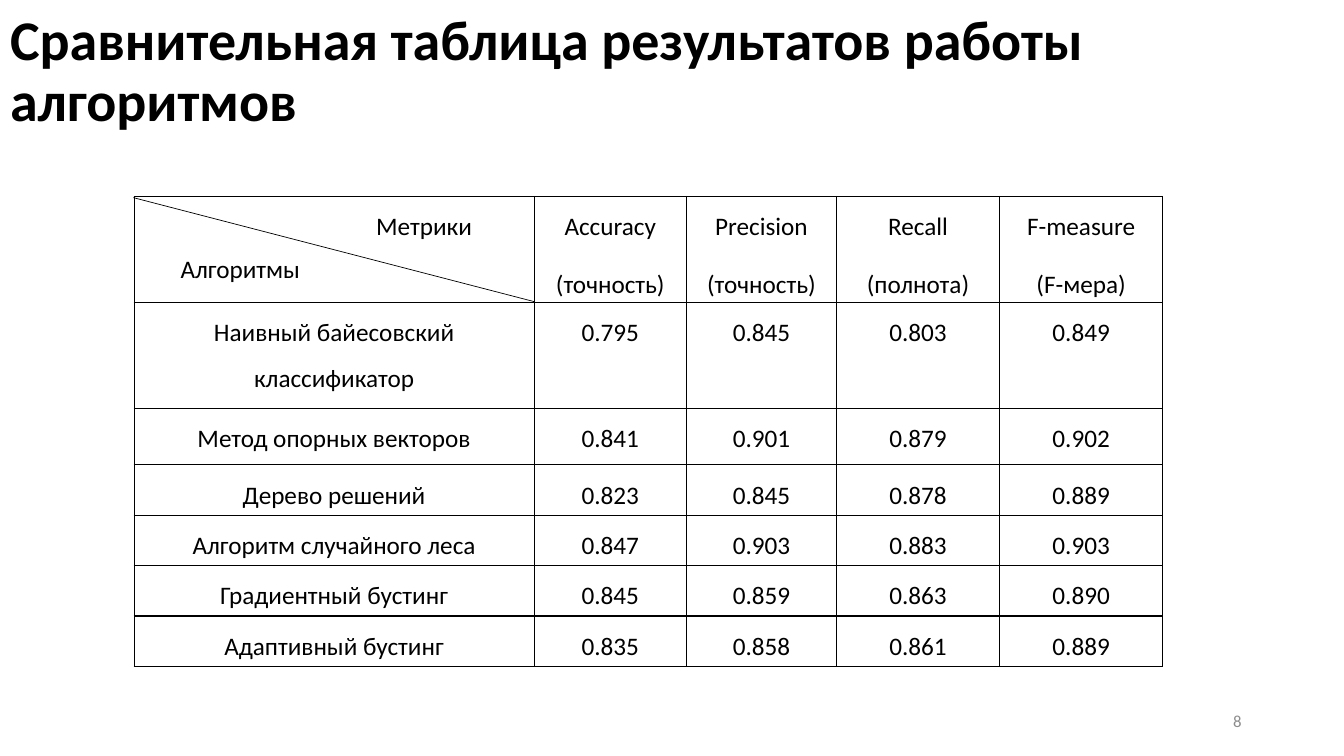
from dataclasses import dataclass

from lxml.etree import SubElement
from pptx import Presentation
from pptx.dml.color import RGBColor
from pptx.enum.shapes import MSO_CONNECTOR
from pptx.enum.text import MSO_ANCHOR, MSO_AUTO_SIZE, PP_ALIGN
from pptx.oxml.ns import qn
from pptx.util import Cm, Pt


@dataclass(frozen=True)
class Theme:
    font: str = "Calibri"
    ink: str = "000000"
    muted: str = "8C8C8C"
    title_size: int = 40
    body_size: int = 18
    number_size: int = 12


THEME = Theme()
TITLE = "Сравнительная таблица результатов работы алгоритмов"
TITLE_ONLY = 5
COLUMN_WIDTHS = (10.08, 3.84, 3.78, 4.11, 4.11)
ROW_HEIGHTS = (2.67, 2.67, 1.42, 1.27, 1.27, 1.27, 1.27)
RESULTS = (
    ("Метрики", "Accuracy\n(точность)", "Precision\n(точность)",
     "Recall\n(полнота)", "F-measure\n(F-мера)"),
    ("Наивный байесовский классификатор", "0.795", "0.845", "0.803", "0.849"),
    ("Метод опорных векторов", "0.841", "0.901", "0.879", "0.902"),
    ("Дерево решений", "0.823", "0.845", "0.878", "0.889"),
    ("Алгоритм случайного леса", "0.847", "0.903", "0.883", "0.903"),
    ("Градиентный бустинг", "0.845", "0.859", "0.863", "0.890"),
    ("Адаптивный бустинг", "0.835", "0.858", "0.861", "0.889"),
)


def format_text(frame, size, color=THEME.ink, bold=False, align=PP_ALIGN.LEFT,
                line_spacing=1.0, space_after=0):
    for paragraph in frame.paragraphs:
        paragraph.alignment = align
        paragraph.line_spacing = line_spacing
        paragraph.space_before = Pt(0)
        paragraph.space_after = Pt(space_after)
        for run in paragraph.runs:
            run.font.name = THEME.font
            run.font.size = Pt(size)
            run.font.bold = bold
            run.font.color.rgb = RGBColor.from_string(color)


def add_title(slide, text):
    title = slide.shapes.title
    title.left, title.top, title.width, title.height = Cm(0), Cm(0), Cm(33.5), Cm(3.68)
    frame = title.text_frame
    frame.text = text
    frame.word_wrap = True
    frame.auto_size = MSO_AUTO_SIZE.NONE
    frame.vertical_anchor = MSO_ANCHOR.MIDDLE
    format_text(frame, THEME.title_size, bold=True, line_spacing=0.9)


def add_label(slide, text, left, top, width, height, wrap=True,
              anchor=MSO_ANCHOR.TOP, **style):
    frame = slide.shapes.add_textbox(Cm(left), Cm(top), Cm(width), Cm(height)).text_frame
    frame.text = text
    frame.word_wrap = wrap
    frame.vertical_anchor = anchor
    format_text(frame, **style)


def set_borders(cell, width=1):
    properties = cell._tc.get_or_add_tcPr()
    for side in ("a:lnL", "a:lnR", "a:lnT", "a:lnB"):
        border = SubElement(properties, qn(side), w=str(Pt(width)))
        fill = SubElement(border, qn("a:solidFill"))
        SubElement(fill, qn("a:srgbClr"), val=THEME.ink)


def fill_cell(cell, text):
    cell.text_frame.text = text
    cell.margin_left = cell.margin_right = Cm(0.18)
    cell.margin_top = cell.margin_bottom = Cm(0)
    set_borders(cell)
    cell.fill.background()
    format_text(cell.text_frame, THEME.body_size, align=PP_ALIGN.CENTER,
                line_spacing=1.5, space_after=8)


def add_results_table(slide, left, top):
    table = slide.shapes.add_table(
        len(ROW_HEIGHTS), len(COLUMN_WIDTHS), Cm(left), Cm(top),
        Cm(sum(COLUMN_WIDTHS)), Cm(sum(ROW_HEIGHTS))).table
    table.first_row = table.horz_banding = False
    for column, width in zip(table.columns, COLUMN_WIDTHS):
        column.width = Cm(width)
    for row, height, texts in zip(table.rows, ROW_HEIGHTS, RESULTS):
        row.height = Cm(height)
        for cell, text in zip(row.cells, texts):
            fill_cell(cell, text)

    metrics_heading = table.cell(0, 0).text_frame.paragraphs[0]
    metrics_heading.alignment = PP_ALIGN.LEFT
    indent = metrics_heading._p.get_or_add_pPr()
    indent.set("marL", str(Cm(5.92)))
    indent.set("indent", "0")


def add_line(slide, start, end, width):
    line = slide.shapes.add_connector(
        MSO_CONNECTOR.STRAIGHT, *(Cm(value) for value in start + end))
    line.line.color.rgb = RGBColor.from_string(THEME.ink)
    line.line.width = Pt(width)
    SubElement(line._element.spPr, qn("a:effectLst"))


def main():
    deck = Presentation()
    deck.slide_width, deck.slide_height = Cm(33.87), Cm(19.05)
    slide = deck.slides.add_slide(deck.slide_layouts[TITLE_ONLY])

    add_title(slide, TITLE)
    add_results_table(slide, 3.38, 4.95)
    add_line(slide, (3.36, 4.98), (13.46, 7.6), 0.5)
    add_label(slide, "Алгоритмы", 4.3, 6.27, 3.56, 1.03, wrap=False,
              size=THEME.body_size)
    add_label(slide, "8", 23.92, 17.66, 7.62, 1.01, anchor=MSO_ANCHOR.MIDDLE,
              size=THEME.number_size, color=THEME.muted, align=PP_ALIGN.RIGHT)
    deck.save("out.pptx")


if __name__ == "__main__":
    main()
